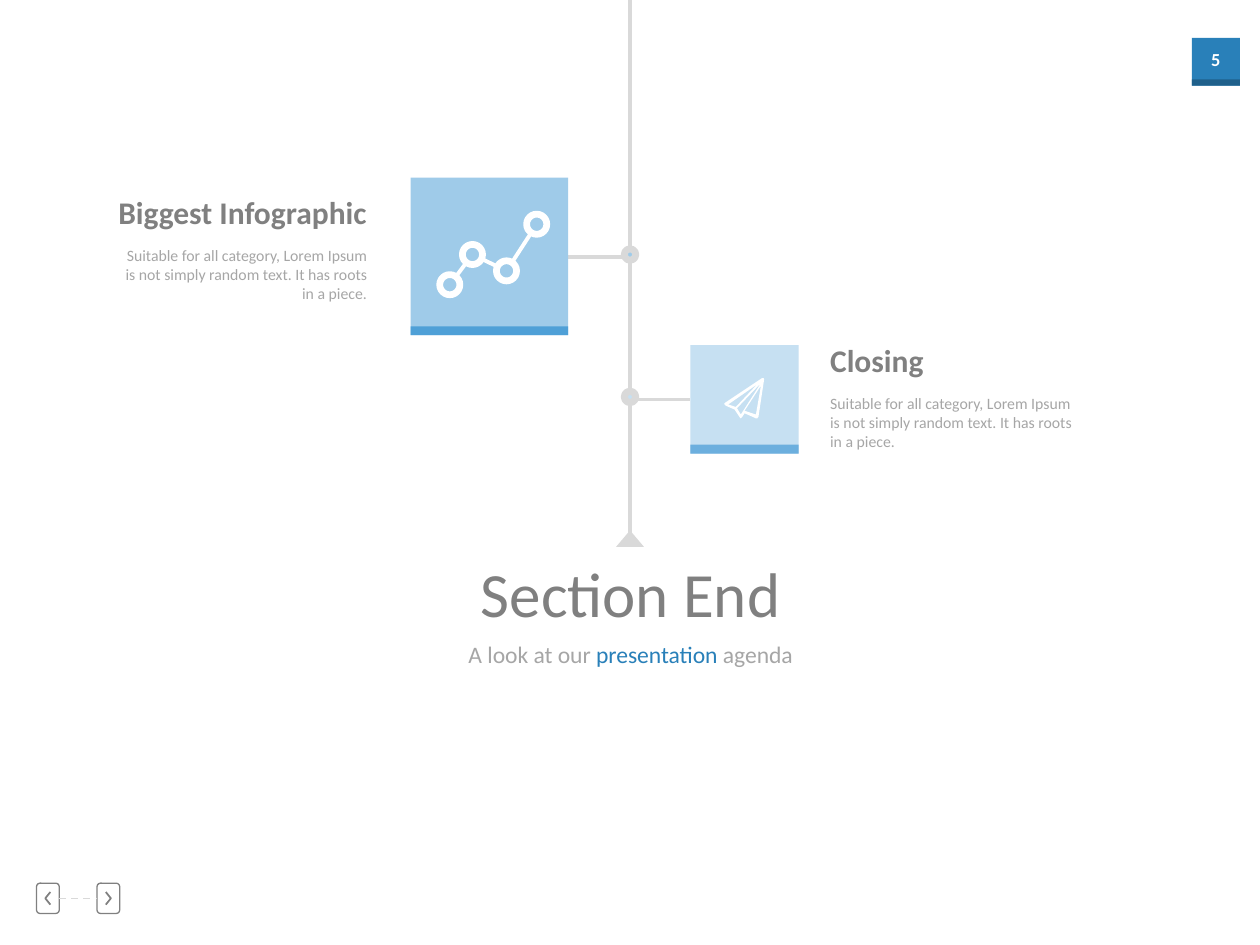
from itertools import pairwise

from lxml import etree
from pptx import Presentation
from pptx.dml.color import RGBColor
from pptx.enum.dml import MSO_LINE
from pptx.enum.shapes import MSO_CONNECTOR, MSO_SHAPE as SHAPE
from pptx.enum.text import MSO_ANCHOR, MSO_AUTO_SIZE, PP_ALIGN as ALIGN
from pptx.oxml.ns import qn
from pptx.util import Inches, Pt

FONT = "Calibri"
WHITE, GRAY, TEXT_GRAY, RAIL = "FFFFFF", "808080", "A6A6A6", "D9D9D9"
BLUE, DARK_BLUE = "2980B9", "1F608B"
CENTER_X = 5
BODY = ("Suitable for all category, Lorem Ipsum is not simply random text. "
        "It has roots in a piece.")


def color(value):
    return RGBColor.from_string(value)


def paint(shape, fill=None, line=None, width=1):
    shape.shadow.inherit = False
    if fill:
        shape.fill.solid()
        shape.fill.fore_color.rgb = color(fill)
    else:
        shape.fill.background()
    if line:
        shape.line.color.rgb = color(line)
        shape.line.width = Pt(width)
    else:
        shape.line.fill.background()
    return shape


def add_shape(slide, kind, box, fill=None, line=None, width=1):
    shape = slide.shapes.add_shape(kind, *map(Inches, box))
    return paint(shape, fill, line, width)


def add_line(slide, start, end, line=RAIL, width=2):
    connector = slide.shapes.add_connector(
        MSO_CONNECTOR.STRAIGHT, *map(Inches, (*start, *end)))
    connector.line.color.rgb = color(line)
    connector.line.width = Pt(width)
    etree.SubElement(connector._element.spPr, qn("a:effectLst"))
    return connector


def add_outline(slide, contours, closed, **style):
    """Builds one freeform from lists of points in inches."""
    contours = [[(Inches(x), Inches(y)) for x, y in points] for points in contours]
    builder = slide.shapes.build_freeform(*contours[0][0], scale=1.0)
    for index, (first, *rest) in enumerate(contours):
        if index:
            builder.move_to(*first)
        builder.add_line_segments(rest, close=closed)
    return paint(builder.convert_to_shape(), **style)


def fill_text(shape, runs, size, align=ALIGN.LEFT, bold=False, wrap=False):
    """Writes (text, colour) runs as a single paragraph."""
    frame = shape.text_frame
    frame.word_wrap = wrap
    frame.auto_size = MSO_AUTO_SIZE.SHAPE_TO_FIT_TEXT
    frame.vertical_anchor = MSO_ANCHOR.TOP
    paragraph = frame.paragraphs[0]
    paragraph.alignment = align
    paragraph.font.name = FONT
    paragraph.font.size = Pt(size)
    paragraph.font.bold = bold
    for text, run_color in runs:
        run = paragraph.add_run()
        run.text = text
        run.font.color.rgb = color(run_color)


def add_text(slide, box, runs, size, **options):
    fill_text(slide.shapes.add_textbox(*map(Inches, box)), runs, size, **options)


def add_page_badge(slide, left, top, size):
    add_shape(slide, SHAPE.RECTANGLE, (left, top, size, size), BLUE)
    add_shape(slide, SHAPE.RECTANGLE, (left, top + size - 0.05, size, 0.05), DARK_BLUE)
    add_text(slide, (left, top + 0.03, size, 0.28), [("5", WHITE)], 10.5,
             align=ALIGN.CENTER, bold=True)


def add_navigation(slide, left, top, width, height):
    button = 0.18
    middle = top + height / 2
    for x, direction in ((left, -1), (left + width - button, 1)):
        frame = add_shape(slide, SHAPE.ROUNDED_RECTANGLE, (x, top, button, height),
                          line=GRAY, width=0.75)
        frame.adjustments[0] = 0.15
        back, tip = (x + button / 2 + direction * offset for offset in (-0.02, 0.02))
        add_outline(slide, [[(back, middle - 0.05), (tip, middle), (back, middle + 0.05)]],
                    closed=False, line=GRAY, width=1)
    dash = add_line(slide, (left + button, middle), (left + width - button, middle), width=1)
    dash.line.dash_style = MSO_LINE.DASH


def add_heading(slide, title_box, subtitle_box):
    title = slide.shapes.title
    title.left, title.top, title.width, title.height = map(Inches, title_box)
    fill_text(title, [("Section End", GRAY)], 36, align=ALIGN.CENTER)
    add_text(slide, subtitle_box, [("A look at our ", TEXT_GRAY), ("presentation", BLUE),
                                   (" agenda", TEXT_GRAY)], 13.5)


def add_spine(slide, top, bottom, nodes):
    stops = [top, *(y for node in nodes for y in (node - 0.05, node + 0.05)), bottom]
    for start, end in zip(stops[::2], stops[1::2]):
        add_line(slide, (CENTER_X, start), (CENTER_X, end))
    add_shape(slide, SHAPE.ISOSCELES_TRIANGLE,
              (CENTER_X - 0.11, bottom - 0.02, 0.22, 0.13), RAIL)


def add_milestone(slide, box, node_y, fill, strip):
    """Places a square card and ties it to its node on the spine."""
    left, top, size = box
    add_shape(slide, SHAPE.OVAL, (CENTER_X - 0.045, node_y - 0.045, 0.09, 0.09),
              fill, RAIL, 4)
    ends = (left + size, CENTER_X - 0.05) if left < CENTER_X else (CENTER_X + 0.05, left)
    link_y = node_y + 0.02
    add_line(slide, (ends[0], link_y), (ends[1], link_y))
    add_shape(slide, SHAPE.RECTANGLE, (left, top, size, size), fill)
    add_shape(slide, SHAPE.RECTANGLE, (left, top + size - 0.07, size, 0.07), strip)


def add_caption(slide, left, top, heading, heading_width, align):
    width = 2.15
    heading_left = left + width - heading_width if align == ALIGN.RIGHT else left
    add_text(slide, (heading_left, top, heading_width, 0.4), [(heading, GRAY)], 18,
             align=align, bold=True)
    add_text(slide, (left, top + 0.42, width, 0.56), [(BODY, TEXT_GRAY)], 9,
             align=align, wrap=True)


def add_graph_icon(slide, left, top, fill):
    points = [(left + x, top + y)
              for x, y in ((0.11, 0.59), (0.29, 0.35), (0.56, 0.48), (0.8, 0.11))]
    for start, end in pairwise(points):
        add_line(slide, start, end, WHITE, 2.25)
    for x, y in points:
        add_shape(slide, SHAPE.OVAL, (x - 0.08, y - 0.08, 0.16, 0.16), fill, WHITE, 3.85)


def add_plane_icon(slide, left, top):
    contours = [
        # Silhouette
        [(0.31, 0), (0.3, 0), (0, 0.2), (0, 0.21), (0.01, 0.22), (0.08, 0.25),
         (0.12, 0.31), (0.13, 0.32), (0.14, 0.31), (0.16, 0.28), (0.25, 0.32),
         (0.26, 0.32), (0.27, 0.31), (0.315, 0.01)],
        # Folds
        [(0.03, 0.21), (0.26, 0.05), (0.09, 0.23)],
        [(0.1, 0.24), (0.29, 0.04), (0.13, 0.29)],
        [(0.25, 0.29), (0.16, 0.26), (0.29, 0.06)],
    ]
    placed = [[(left + x, top + y) for x, y in points] for points in contours]
    add_outline(slide, placed, closed=True, fill=WHITE)


def main():
    presentation = Presentation()
    presentation.slide_width, presentation.slide_height = Inches(10), Inches(7.5)
    slide = presentation.slides.add_slide(presentation.slide_layouts[5])

    # Page furniture
    add_page_badge(slide, 9.46, 0.3, 0.38)
    add_navigation(slide, 0.29, 7.01, 0.66, 0.24)

    # Section heading
    add_heading(slide, (3.68, 4.35, 2.65, 0.71), (3.62, 5.03, 2.8, 0.33))

    # Timeline
    add_spine(slide, 0, 4.23, (2.02, 3.15))
    add_milestone(slide, (3.26, 1.41, 1.25), 2.02, "9FCBE9", "4FA0D7")
    add_graph_icon(slide, 3.46, 1.67, "9FCBE9")
    add_caption(slide, 0.86, 1.48, "Biggest Infographic", 2.17, ALIGN.RIGHT)
    add_milestone(slide, (5.48, 2.74, 0.86), 3.15, "C6E0F2", "6CAFDE")
    add_plane_icon(slide, 5.75, 3)
    add_caption(slide, 6.49, 2.66, "Closing", 0.96, ALIGN.LEFT)

    presentation.save("out.pptx")


if __name__ == "__main__":
    main()
